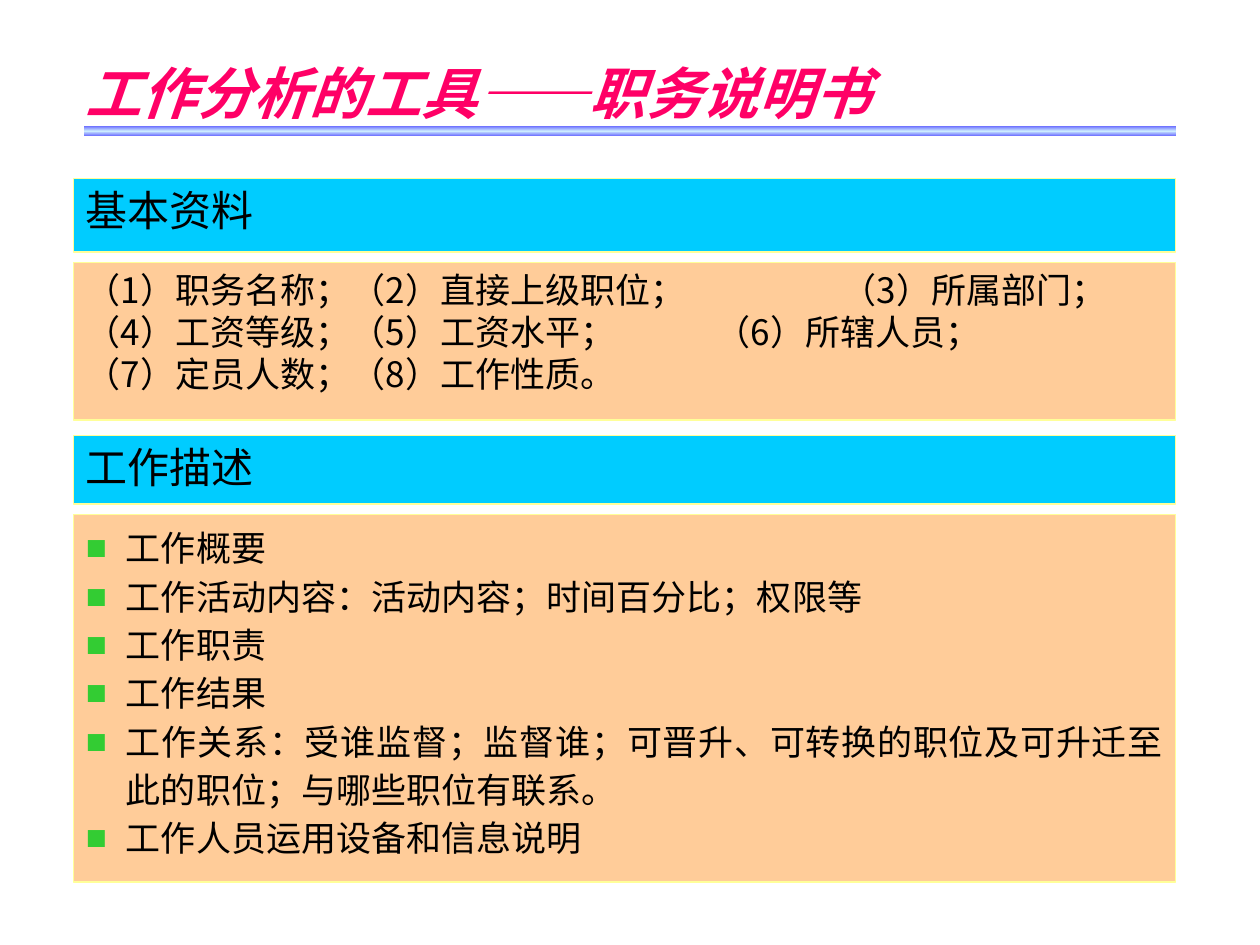
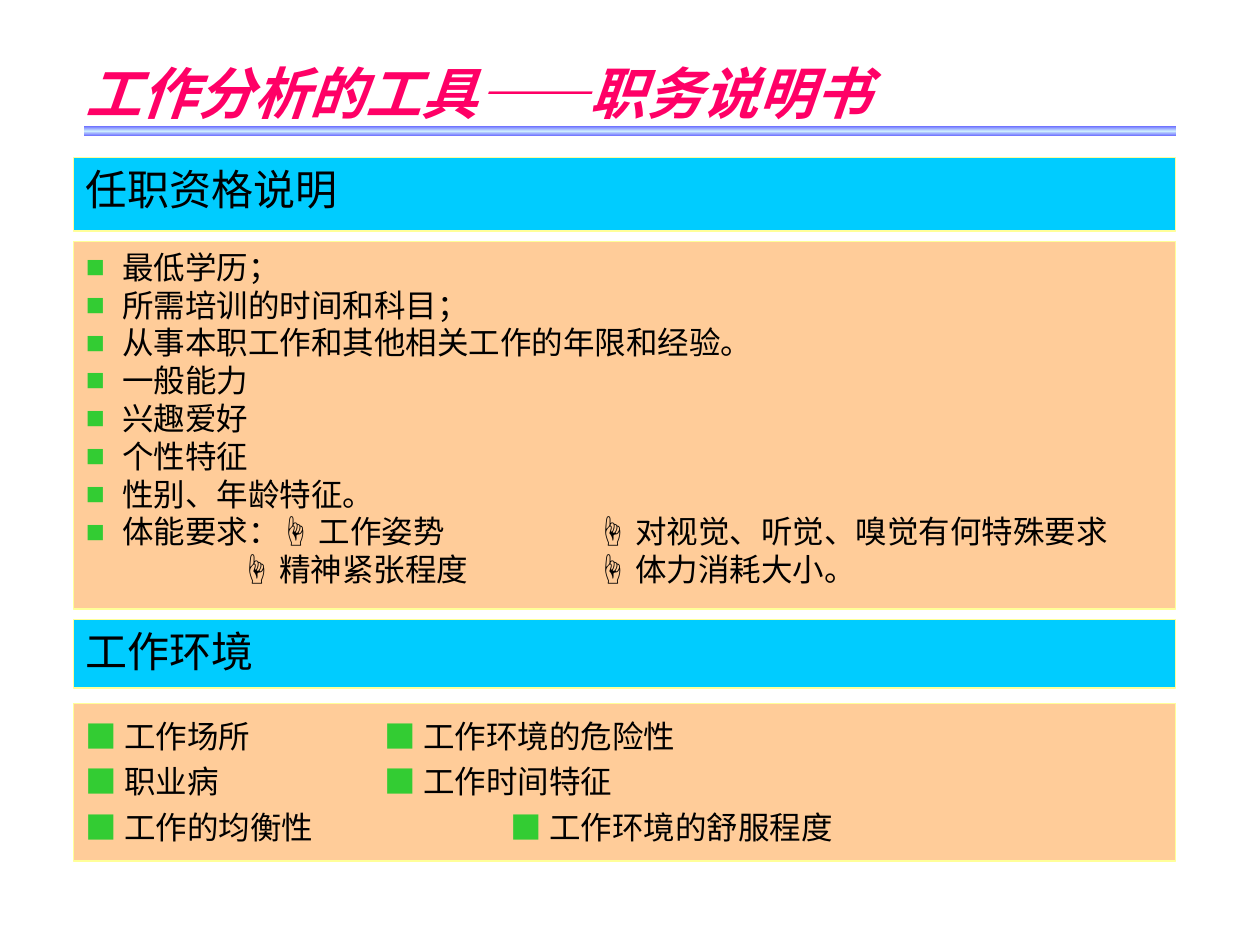
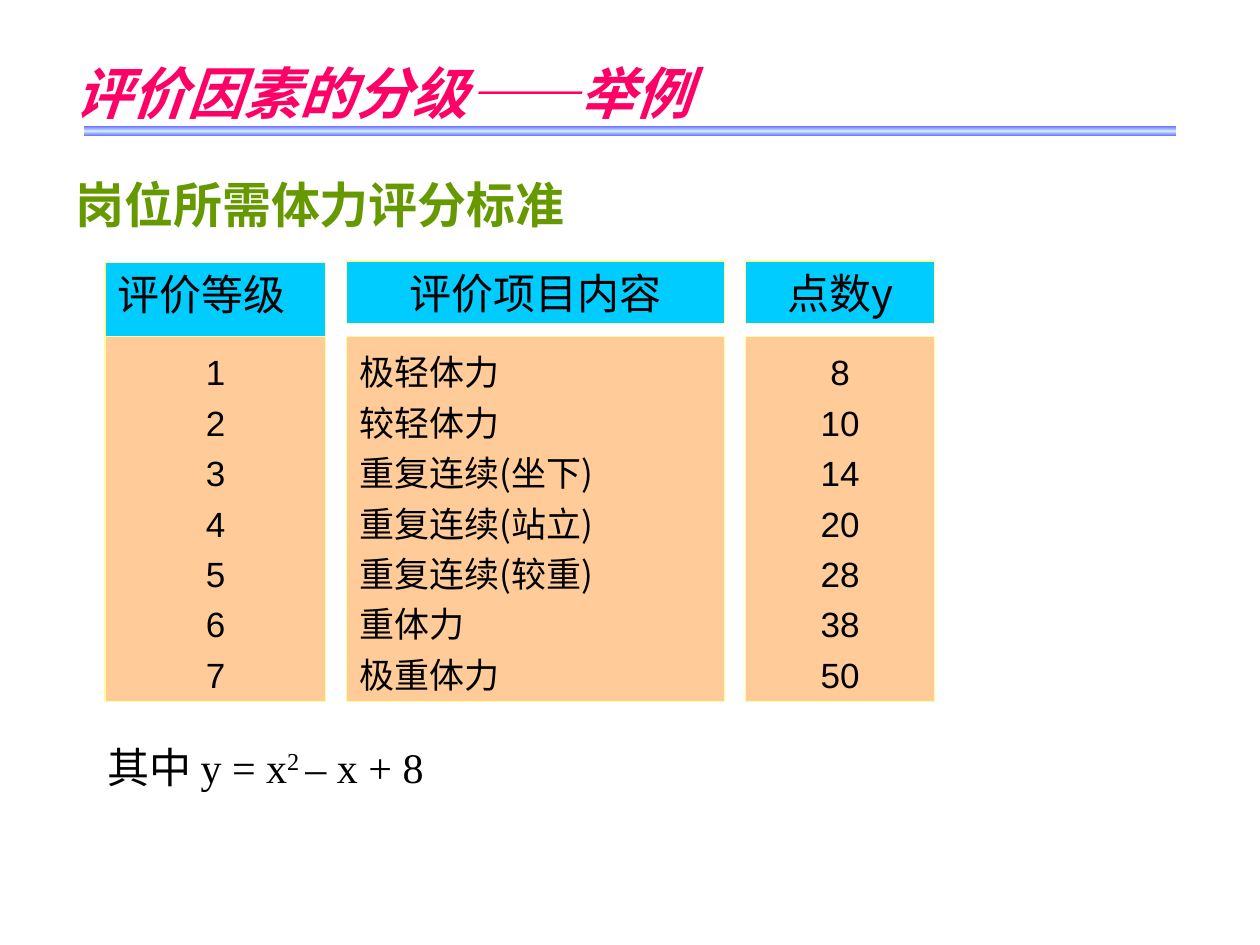
from lxml import etree
from pptx import Presentation
from pptx import util as u
from pptx.dml import color
from pptx.enum import shapes, text
from pptx.oxml import ns

COLORS = {
    "title": "FF0066", "subtitle": "669900", "text": "000000", "bullet": "33CC33",
    "header": "00CCFF", "panel": "FFCC99", "border": "FFFF99",
    "band_edge": "6666FF", "band_middle": "CCECFF",
}
CJK, SANS, SERIF = "Noto Sans CJK SC", "Arial", "Times New Roman"
ALIGN = text.PP_ALIGN
LEFT, WIDTH = 1.48, 22.22
HAND = ("☝", {"font": SANS})
SQUARE = ("■ ", {"font": SANS, "color": "bullet"})


def rgb(name):
    """Return the named palette colour."""
    return color.RGBColor.from_string(COLORS[name])


def add_element(parent, tag, **attributes):
    """Append a drawing element with its attributes and return it."""
    values = {key: str(value) for key, value in attributes.items()}
    return etree.SubElement(parent, ns.qn(tag), values)


def add_bullet(properties):
    """Give paragraph properties a green square bullet."""
    add_element(add_element(properties, "a:buClr"), "a:srgbClr", val=COLORS["bullet"])
    add_element(properties, "a:buSzPct", val=100000)
    add_element(properties, "a:buFont", typeface=SANS)
    add_element(properties, "a:buChar", char="■")


def add_run(paragraph, content, font=CJK, size=20, color="text", bold=False,
            italic=False, baseline=0):
    """Add one formatted run to a paragraph."""
    run = paragraph.add_run()
    run.text = content
    run.font.name, run.font.size = font, u.Pt(size)
    run.font.bold, run.font.italic = bold, italic
    run.font.color.rgb = rgb(color)
    if font == CJK:
        add_element(run.font._element, "a:ea", typeface=CJK)
    if baseline:
        run.font._element.set("baseline", str(baseline))


def write(shape, content, align=ALIGN.LEFT, spacing=None, hanging=0, bullet=False,
          tabs=(), **font_format):
    """Append a paragraph given as a string or a list of (text, changes) runs."""
    frame = shape.text_frame
    first = frame.paragraphs[0]
    paragraph = frame.add_paragraph() if first.runs else first
    properties = paragraph._p.get_or_add_pPr()
    if hanging:
        properties.set("marL", str(u.Cm(hanging)))
        properties.set("indent", str(-u.Cm(hanging)))
    if bullet:
        add_bullet(properties)
    if tabs:
        tab_list = add_element(properties, "a:tabLst")
        for position in tabs:
            add_element(tab_list, "a:tab", pos=u.Cm(position), algn="l")
    paragraph.alignment = align
    if spacing:
        paragraph.line_spacing = spacing
    runs = [(content, {})] if isinstance(content, str) else content
    for run_text, changes in runs:
        add_run(paragraph, run_text, **{**font_format, **changes})


def add_box(slide, left, top, width, height, fill):
    """Add a bordered rectangle whose text starts at the top."""
    shape = slide.shapes.add_shape(shapes.MSO_SHAPE.RECTANGLE, u.Cm(left), u.Cm(top),
                                   u.Cm(width), u.Cm(height))
    shape.shadow.inherit = False
    shape.fill.solid()
    shape.fill.fore_color.rgb = rgb(fill)
    shape.line.color.rgb = rgb("border")
    shape.line.width = u.Pt(0.75)
    shape.text_frame.word_wrap = True
    shape.text_frame.vertical_anchor = text.MSO_ANCHOR.TOP
    return shape


def add_label(slide, left, top, width, height, content, **font_format):
    """Add a wrapped text box holding one paragraph."""
    label = slide.shapes.add_textbox(u.Cm(left), u.Cm(top), u.Cm(width), u.Cm(height))
    label.text_frame.word_wrap = True
    write(label, content, **font_format)


def add_band(slide):
    """Draw the gradient rule below the title."""
    band = slide.shapes.add_shape(shapes.MSO_SHAPE.RECTANGLE, u.Cm(1.69), u.Cm(2.54),
                                  u.Cm(22.01), u.Cm(0.21))
    band.shadow.inherit = False
    band.line.fill.background()
    band.fill.gradient()
    band.fill.gradient_angle = 90
    stops = band.fill._fill._gradFill.find(ns.qn("a:gsLst"))
    for stop in list(stops):
        stops.remove(stop)
    for position, name in ((0, "band_edge"), (50000, "band_middle"), (100000, "band_edge")):
        stop = add_element(stops, "a:gs", pos=position)
        add_element(stop, "a:srgbClr", val=COLORS[name])


def start_slide(presentation, title, left=LEFT, width=17.98):
    """Add a blank slide with the shared rule and title."""
    slide = presentation.slides.add_slide(presentation.slide_layouts[6])
    add_band(slide)
    add_label(slide, left, 1.06, width, 1.63, title, font=SERIF, size=32,
              color="title", bold=True, italic=True)
    return slide


def add_section(slide, heading, top, header_height, panel_top, panel_height):
    """Add a full-width heading bar and return the panel below it."""
    header = add_box(slide, LEFT, top, WIDTH, header_height, "header")
    write(header, heading, size=24)
    return add_box(slide, LEFT, panel_top, WIDTH, panel_height, "panel")


def add_column(slide, left, width, header_top, header_height, heading, values,
               heading_align=ALIGN.CENTER, **value_format):
    """Add a score column: a heading above a panel of values."""
    header = add_box(slide, left, header_top, width, header_height, "header")
    write(header, heading, align=heading_align, size=24)
    panel = add_box(slide, left, 6.78, width, 7.37, "panel")
    for value in values:
        write(panel, value, spacing=1.2, **value_format)


def build_description_slide(presentation):
    """Build the basic data and job description slide."""
    slide = start_slide(presentation, "工作分析的工具——职务说明书")
    basics = add_section(slide, "基本资料", 3.6, 1.48, 5.29, 3.18)
    for line, tabs in (
        ("（1）职务名称；（2）直接上级职位；\t（3）所属部门；", (15.24,)),
        ("（4）工资等级；（5）工资水平；\t（6）所辖人员；", (12.7,)),
        ("（7）定员人数；（8）工作性质。", ()),
    ):
        write(basics, line, align=ALIGN.JUSTIFY, tabs=tabs)
    duties = add_section(slide, "工作描述", 8.78, 1.38, 10.37, 7.41)
    for line in (
        "工作概要",
        "工作活动内容：活动内容；时间百分比；权限等",
        "工作职责",
        "工作结果",
        "工作关系：受谁监督；监督谁；可晋升、可转换的职位及可升迁至此的职位；与哪些职位有联系。",
        "工作人员运用设备和信息说明",
    ):
        write(duties, line, align=ALIGN.JUSTIFY, spacing=1.15, hanging=0.81, bullet=True)


def build_qualification_slide(presentation):
    """Build the qualification and work environment slide."""
    slide = start_slide(presentation, "工作分析的工具——职务说明书")
    needs = add_section(slide, "任职资格说明", 3.18, 1.48, 4.87, 7.41)
    for line in (
        "最低学历；",
        "所需培训的时间和科目；",
        "从事本职工作和其他相关工作的年限和经验。",
        "一般能力",
        "兴趣爱好",
        "个性特征",
        "性别、年龄特征。",
        [("体能要求：", {}), HAND, (" 工作姿势\t", {}), HAND,
         (" 对视觉、听觉、嗅觉有何特殊要求", {})],
    ):
        write(needs, line, align=ALIGN.JUSTIFY, hanging=0.74, bullet=True, tabs=(10.3,),
              size=18)
    write(needs, [("\t", {}), HAND, (" 精神紧张程度\t", {}), HAND, (" 体力消耗大小。", {})],
          align=ALIGN.JUSTIFY, tabs=(3.12, 10.3), size=18)
    setting = add_section(slide, "工作环境", 12.49, 1.38, 14.18, 3.18)
    for first, second, tab in (
        ("工作场所", "工作环境的危险性", 6.03),
        ("职业病", "工作时间特征", 6.03),
        ("工作的均衡性", "工作环境的舒服程度", 8.57),
    ):
        write(setting, [SQUARE, (first + "\t", {}), SQUARE, (second, {})],
              align=ALIGN.JUSTIFY, spacing=1.2, tabs=(tab,), size=18)


def build_scoring_slide(presentation):
    """Build the physical effort scoring slide."""
    slide = start_slide(presentation, "评价因素的分级——举例", left=1.27, width=15.66)
    add_label(slide, 1.27, 3.39, 11.01, 1.45, "岗位所需体力评分标准", font=SERIF,
              size=28, color="subtitle", bold=True)
    levels = range(1, 8)
    efforts = ("极轻体力", "较轻体力", "重复连续(坐下)", "重复连续(站立)",
               "重复连续(较重)", "重体力", "极重体力")
    numeric = {"align": ALIGN.CENTER, "font": SANS}
    add_column(slide, 2.12, 4.45, 5.29, 2.29, "评价等级", map(str, levels),
               heading_align=ALIGN.LEFT, **numeric)
    add_column(slide, 6.99, 7.62, 5.26, 1.27, "评价项目内容", efforts)
    points = [str(level ** 2 - level + 8) for level in levels]
    add_column(slide, 15.03, 3.81, 5.26, 1.27, "点数y", points, **numeric)
    formula = [("其中 y = x", {}), ("2 ", {"baseline": 30000}), ("– x + 8", {})]
    add_label(slide, 1.91, 14.82, 17.57, 1.27, formula, font=SERIF, size=24)


def main():
    """Build and save the presentation."""
    presentation = Presentation()
    presentation.slide_width, presentation.slide_height = u.Cm(25.4), u.Cm(19.05)
    build_description_slide(presentation)
    build_qualification_slide(presentation)
    build_scoring_slide(presentation)
    presentation.save("out.pptx")


if __name__ == "__main__":
    main()
